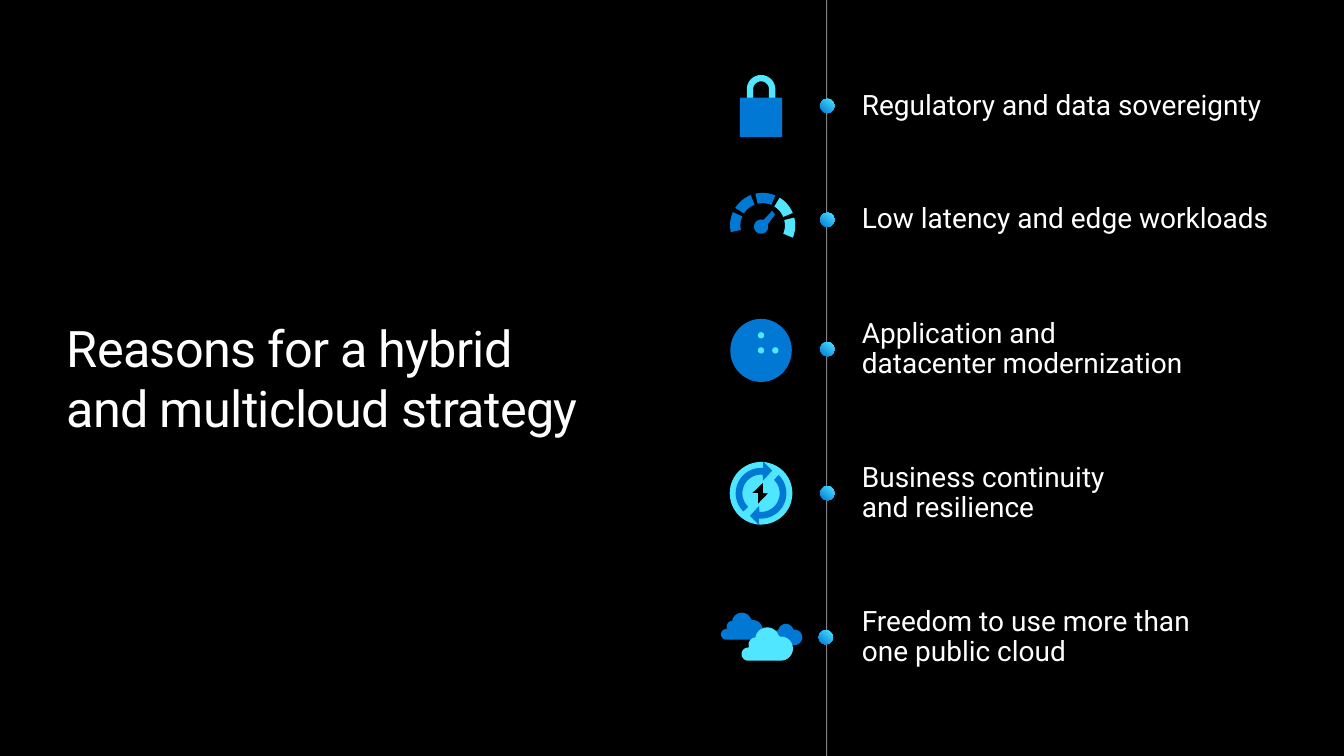
from math import cos, sin, radians

from lxml import etree
from pptx import Presentation
from pptx.dml.color import RGBColor
from pptx.enum.shapes import MSO_CONNECTOR, MSO_SHAPE
from pptx.enum.text import MSO_ANCHOR, MSO_AUTO_SIZE, PP_ALIGN
from pptx.oxml.ns import qn
from pptx.util import Cm, Pt

BLACK = RGBColor(0x00, 0x00, 0x00)
WHITE = RGBColor(0xFF, 0xFF, 0xFF)
BLUE = RGBColor(0x00, 0x78, 0xD4)
CYAN = RGBColor(0x50, 0xE6, 0xFF)

ICON_X = 19.18  # common centre of the icons, in cm
LINE_X = 20.83
TEXT_X = 21.72
DOT_SIZE = 0.36

# Text, centre height, text box width, text lines, dot centre
REASONS = [
    ("Regulatory and data sovereignty", 2.67, 11.33, 1, 20.85),
    ("Low latency and edge workloads", 5.54, 10.87, 1, 20.85),
    ("Application and datacenter modernization", 8.8, 8.31, 2, 20.85),
    ("Business continuity\vand resilience", 12.43, 10.72, 2, 20.85),
    ("Freedom to use more than one public cloud", 16.06, 8.31, 2, 20.81),
]


def arc(cx, cy, radius, start, end, steps=16):
    """Points on a circle; angles in degrees, counter-clockwise."""
    angles = [radians(start + (end - start) * i / steps) for i in range(steps + 1)]
    return [(cx + radius * cos(a), cy - radius * sin(a)) for a in angles]


def band(cx, cy, outer, inner, start, end):
    return arc(cx, cy, outer, start, end) + arc(cx, cy, inner, end, start)


def paint(s, color):
    s.shadow.inherit = False
    s.fill.solid()
    s.fill.fore_color.rgb = color
    s.line.fill.background()


def add_outline(slide, color, *contours):
    scaled = [[(x * 1000, y * 1000) for x, y in c] for c in contours]
    builder = slide.shapes.build_freeform(*scaled[0][0], scale=Cm(0.001))
    builder.add_line_segments(scaled[0][1:], close=True)
    for contour in scaled[1:]:
        builder.move_to(*contour[0])
        builder.add_line_segments(contour[1:], close=True)
    paint(builder.convert_to_shape(), color)


def add_preset(slide, kind, cx, cy, width, height, color):
    s = slide.shapes.add_shape(kind, Cm(cx - width / 2), Cm(cy - height / 2),
                               Cm(width), Cm(height))
    paint(s, color)
    return s


def format_frame(tf, size, anchor, **paragraph_format):
    frame_format = dict(word_wrap=True, auto_size=MSO_AUTO_SIZE.NONE,
                        vertical_anchor=anchor, margin_left=0, margin_right=0,
                        margin_top=0, margin_bottom=0)
    for name, value in frame_format.items():
        setattr(tf, name, value)
    for p in tf.paragraphs:
        for name, value in paragraph_format.items():
            setattr(p, name, value)
        for r in p.runs:
            r.font.name = "Roboto"
            r.font.size = Pt(size)
            r.font.color.rgb = WHITE


def add_title(slide):
    title = slide.shapes.title
    box = dict(left=1.68, top=7.98, width=13.39, height=3.07)
    for name, value in box.items():
        setattr(title, name, Cm(value))
    tf = title.text_frame
    tf.text = "Reasons for a hybrid\nand multicloud strategy"
    format_frame(tf, 36, MSO_ANCHOR.TOP, alignment=PP_ALIGN.LEFT)
    for p in tf.paragraphs:
        for r in p.runs:
            r.font._element.set("spc", "-50")


def add_timeline(slide):
    line = slide.shapes.add_connector(MSO_CONNECTOR.STRAIGHT, Cm(LINE_X), Cm(0),
                                      Cm(LINE_X), Cm(19.05))
    line.line.width = Pt(0.75)
    line.line.color.rgb = WHITE
    sp_pr = line._element.spPr
    color = sp_pr.find(".//" + qn("a:srgbClr"))
    etree.SubElement(color, qn("a:alpha")).set("val", "51000")
    etree.SubElement(sp_pr, qn("a:effectLst"))


def add_reason(slide, text, cy, width, lines, dot_x):
    dot = add_preset(slide, MSO_SHAPE.OVAL, dot_x, cy, DOT_SIZE, DOT_SIZE, BLUE)
    dot.fill.gradient()
    dot.fill.gradient_angle = 50
    for stop, color in zip(dot.fill.gradient_stops, (BLUE, CYAN)):
        stop.color.rgb = color
    height = 0.77 * lines
    box = slide.shapes.add_textbox(Cm(TEXT_X), Cm(cy - height / 2), Cm(width), Cm(height))
    box.text_frame.paragraphs[0].text = text
    format_frame(box.text_frame, 20, MSO_ANCHOR.MIDDLE, line_spacing=0.9,
                 space_after=Pt(6))


def add_lock(slide):
    cy, foot = 2.25, 2.54
    shackle = ([(ICON_X + 0.36, foot)] + arc(ICON_X, cy, 0.36, 0, 180)
               + [(ICON_X - 0.36, foot), (ICON_X - 0.2, foot)]
               + arc(ICON_X, cy, 0.2, 180, 0) + [(ICON_X + 0.2, foot)])
    add_outline(slide, CYAN, shackle)
    add_preset(slide, MSO_SHAPE.RECTANGLE, ICON_X, 2.96, 1.07, 1, BLUE)


def add_gauge(slide):
    for i, color in enumerate([BLUE] * 3 + [CYAN] * 2):
        middle = 174 - 44.5 * i
        add_outline(slide, color, band(19.22, 5.68, 0.82, 0.56, middle - 18, middle + 18))
    needle = arc(ICON_X, 5.71, 0.18, 70, 380) + [(19.53, 5.41), (19.46, 5.31)]
    add_outline(slide, BLUE, needle)


def add_globe(slide):
    add_preset(slide, MSO_SHAPE.OVAL, ICON_X, 8.83, 1.55, 1.59, BLUE)
    for dx, dy in [(0, 0), (0, -0.38), (0.36, 0)]:
        add_preset(slide, MSO_SHAPE.OVAL, ICON_X + dx, 8.83 + dy, 0.16, 0.16, CYAN)


def add_recovery(slide):
    cy = 12.43
    bolt = [(0.05, -0.27), (0.05, 0), (0.18, 0), (-0.08, 0.27), (-0.08, 0), (-0.23, 0)]
    add_outline(slide, CYAN, arc(ICON_X, cy, 0.79, 0, 360, 48),
                [(ICON_X + x, cy + y) for x, y in bolt])
    arrow = band(0, 0, 0.64, 0.47, 85, 226) + [(0.05, -0.32), (0.28, -0.57), (0.05, -0.8)]
    for turn in (1, -1):
        add_outline(slide, BLUE, [(ICON_X + turn * x, cy + turn * y) for x, y in arrow])


def add_cloud(slide, left, top, width, color):
    lobes = [(0.12, 0.53, 0.13, 270, 90), (0.27, 0.34, 0.14, 200, 90),
             (0.5, 0.24, 0.24, 165, 20), (0.77, 0.42, 0.24, 95, -90)]
    points = [point for lobe in lobes for point in arc(*lobe)]
    add_outline(slide, color, [(left + x * width, top + y * width) for x, y in points])


def main():
    prs = Presentation()
    prs.slide_width, prs.slide_height = Cm(33.87), Cm(19.05)
    slide = prs.slides.add_slide(prs.slide_layouts[5])
    slide.background.fill.solid()
    slide.background.fill.fore_color.rgb = BLACK

    # Title and timeline
    add_title(slide)
    add_timeline(slide)
    for reason in REASONS:
        add_reason(slide, *reason)

    # Icons
    add_lock(slide)
    add_gauge(slide)
    add_globe(slide)
    add_recovery(slide)
    for cloud in [(18.18, 15.44, 1.03, BLUE), (19.4, 15.72, 0.81, BLUE),
                  (18.7, 15.81, 1.27, CYAN)]:
        add_cloud(slide, *cloud)

    prs.save("out.pptx")


if __name__ == "__main__":
    main()
